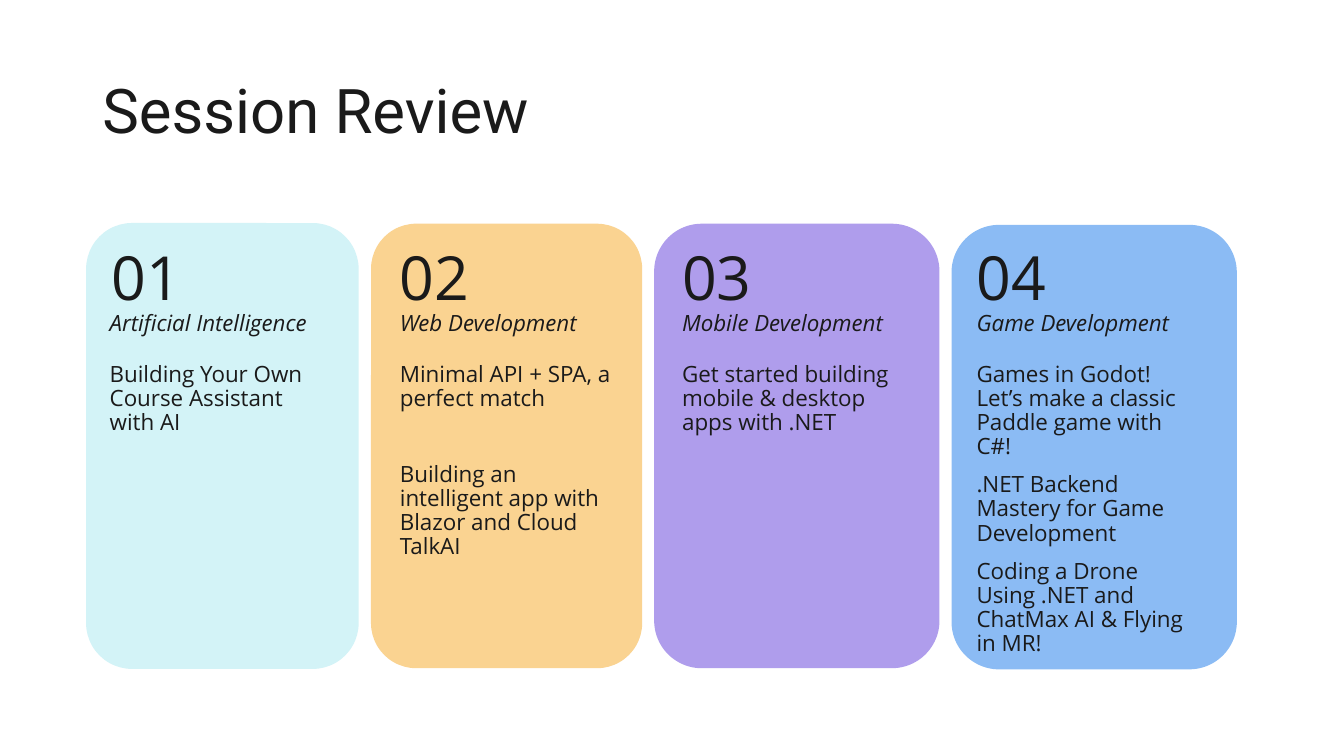
from dataclasses import dataclass

from pptx import Presentation
from pptx.dml.color import RGBColor
from pptx.enum.shapes import MSO_SHAPE
from pptx.enum.text import MSO_ANCHOR, PP_ALIGN
from pptx.slide import Slide
from pptx.text.text import Font, TextFrame
from pptx.util import Pt

ROUND = MSO_SHAPE.ROUNDED_RECTANGLE
MIDDLE = MSO_ANCHOR.MIDDLE
LEFT = PP_ALIGN.LEFT
INK = "1A1A1A"
BODY = "Open Sans"
HEAD = "Roboto"


@dataclass
class Card:
    left: float
    top: float
    width: float
    fill: str
    text_x: float
    num_x: float
    topic: str
    talks: list[str]
    gap: float = 10
    edge: bool = False


CARDS = [
    Card(62, 159.8, 193.7, "D3F3F7", 71.3, 72.7, "Artificial Intelligence",
         ["Building Your Own Course Assistant with AI"], edge=True),
    Card(265, 159.8, 193.7, "FAD391", 278.6, 278.6, "Web Development",
         ["Minimal API + SPA, a perfect match",
          "Building an intelligent app with Blazor and Cloud TalkAI"], gap=37.2),
    Card(467.3, 159.8, 203.8, "AF9DEC", 480.2, 480.2, "Mobile Development",
         ["Get started building mobile & desktop apps with .NET"]),
    Card(679.7, 160.6, 203.8, "8BBBF4", 690.5, 690.5, "Game Development",
         ["Games in Godot! Let’s make a classic Paddle game with C#!",
          ".NET Backend Mastery for Game Development",
          "Coding a Drone Using .NET and ChatMax AI & Flying in MR!"]),
]


def color(code: str) -> RGBColor:
    return RGBColor.from_string(code)


def style(font: Font, name: str, size: float, slant: bool = False) -> None:
    font.name = name
    font.size = Pt(size)
    font.italic = slant
    font.color.rgb = color(INK)


def write(frame: TextFrame, lines: list[str], size: float, lead: float,
          name: str = BODY, slant: bool = False, gap: float = 0) -> None:
    frame.word_wrap = True
    frame.text = "\n".join(lines)
    for i, para in enumerate(frame.paragraphs):
        para.alignment = LEFT
        para.line_spacing = lead
        para.space_before = Pt(gap if i else 0)
        for run in para.runs:
            style(run.font, name, size, slant)


def add_box(slide: Slide, x: float, y: float, w: float, h: float) -> TextFrame:
    return slide.shapes.add_textbox(Pt(x), Pt(y), Pt(w), Pt(h)).text_frame


def add_panel(slide: Slide, card: Card) -> None:
    panel = slide.shapes.add_shape(
        ROUND, Pt(card.left), Pt(card.top), Pt(card.width), Pt(317.5))
    panel.shadow.inherit = False
    panel.fill.solid()
    panel.fill.fore_color.rgb = color(card.fill)
    if card.edge:
        panel.line.color.rgb = color(card.fill)
        panel.line.width = Pt(1)
    else:
        panel.line.fill.background()


def add_card(slide: Slide, num: int, card: Card) -> None:
    add_panel(slide, card)
    write(add_box(slide, card.num_x, 182.2, 72, 49), [f"{num:02}"], 43.4, 0.7)
    write(add_box(slide, card.text_x, 219.6, 170.6, 29.5),
          [card.topic], 16, 0.9, slant=True)
    write(add_box(slide, card.text_x, 255.6, 170.6, 144),
          card.talks, 16, 0.9, gap=card.gap)


def add_title(slide: Slide, text: str) -> None:
    title = slide.shapes.title
    title.left, title.top = Pt(66), Pt(28.8)
    title.width, title.height = Pt(828), Pt(104.4)
    title.text_frame.vertical_anchor = MIDDLE
    write(title.text_frame, [text], 44, 0.9, name=HEAD)


def main() -> None:
    deck = Presentation()
    deck.slide_width, deck.slide_height = Pt(960), Pt(540)
    slide = deck.slides.add_slide(deck.slide_layouts[5])
    add_title(slide, "Session Review")
    for num, card in enumerate(CARDS, 1):
        add_card(slide, num, card)
    deck.save("out.pptx")


if __name__ == "__main__":
    main()
